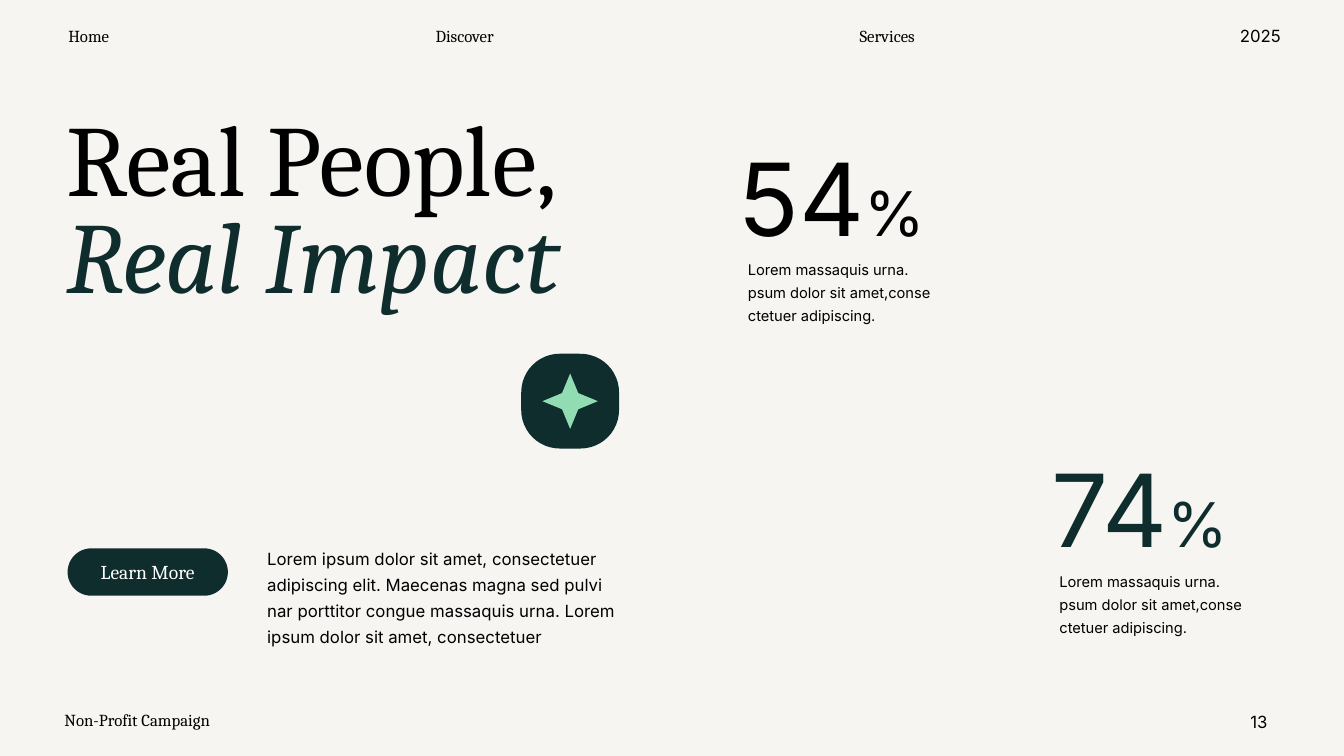
import pptx
import pptx.util
import pptx.dml.color
import pptx.enum.shapes
import pptx.enum.text
from dataclasses import dataclass

Inches = pptx.util.Inches
Align = pptx.enum.text.PP_ALIGN
Anchor = pptx.enum.text.MSO_ANCHOR
Preset = pptx.enum.shapes.MSO_SHAPE


@dataclass(frozen=True)
class Theme:
    paper: str = "F6F5F1"
    ink: str = "000000"
    pine: str = "0F2D2D"
    mint: str = "91DCB3"
    white: str = "FFFFFF"
    serif: str = "Cambria"
    sans: str = "Inter"
    display: float = 72
    percent: float = 44
    button: float = 14
    text: float = 12
    caption: float = 10.5


THEME = Theme()

# Content: boxes are (left, top, width, height) in inches
HEADLINE = ["Real People, ", "Real Impact"]
HEADLINE_BOX = (0.56, 1.13, 5.92, 2.04)
INTRO = [
    "Lorem ipsum dolor sit amet, consectetuer adipiscing elit. Maecenas magna sed pulvi",
    "nar porttitor congue massaquis urna. Lorem ipsum dolor sit amet, consectetuer",
]
INTRO_BOX = (2.55, 5.33, 3.74, 1.13)
# text, box, font, alignment, wraps
PAGE_LABELS = [
    ("Home", (0.54, 0.21, 0.68, 0.3), THEME.serif, Align.CENTER, False),
    ("Discover", (4.16, 0.21, 0.9, 0.3), THEME.serif, Align.CENTER, False),
    ("Services", (8.37, 0.21, 0.86, 0.3), THEME.serif, Align.CENTER, False),
    ("2025", (12.19, 0.21, 0.62, 0.3), THEME.sans, Align.CENTER, False),
    ("Non-Profit Campaign", (0.54, 6.99, 2.89, 0.3), THEME.serif, Align.LEFT, True),
    ("13", (11.99, 7.01, 0.68, 0.3), THEME.sans, Align.RIGHT, True),
]
CAPTION = ["Lorem massaquis urna.", "psum dolor sit amet,conse", "ctetuer adipiscing."]
# figure, colour, left, top
STATS = [("54", THEME.ink, 7.24, 1.43), ("74", THEME.pine, 10.33, 4.52)]
BUTTON = ("Learn More", (0.67, 5.44, 1.59, 0.47))
BADGE_BOX = (5.17, 3.51, 0.97, 0.94)
STAR_SIZE = 0.55


def rgb(code):
    return pptx.dml.color.RGBColor.from_string(code)


def style(run, face, size, colour, italic=False):
    run.font.name = face
    run.font.size = pptx.util.Pt(size)
    run.font.color.rgb = rgb(colour)
    run.font.italic = italic


def place(part, box):
    part.left, part.top, part.width, part.height = map(Inches, box)


def add_text(slide, box, wraps=True):
    frame = slide.shapes.add_textbox(*map(Inches, box)).text_frame
    frame.word_wrap = wraps
    return frame


def write_lines(frame, lines, face, size, spacing=None, align=Align.LEFT):
    """Put each line in its own paragraph, all in one style."""
    frame.text = "\n".join(lines)
    for paragraph in frame.paragraphs:
        paragraph.alignment = align
        paragraph.line_spacing = spacing
        paragraph.space_before = pptx.util.Pt(0)
        style(paragraph.runs[0], face, size, THEME.ink)


def write_runs(paragraph, parts, spacing):
    """Fill a paragraph with (text, face, size, colour, italic) parts."""
    paragraph.alignment = Align.LEFT
    paragraph.line_spacing = spacing
    for text, *look in parts:
        run = paragraph.add_run()
        run.text = text
        style(run, *look)


def add_preset(slide, preset, box, fill, adjustment):
    shape = slide.shapes.add_shape(preset, *map(Inches, box))
    shape.adjustments[0] = adjustment
    shape.fill.solid()
    shape.fill.fore_color.rgb = rgb(fill)
    shape.line.fill.background()
    shape.shadow.inherit = False
    return shape


def fill_placeholders(slide):
    headline, intro = slide.shapes.title, slide.placeholders[1]
    for part, box in ((headline, HEADLINE_BOX), (intro, INTRO_BOX)):
        place(part, box)
        part.text_frame.word_wrap = True
        part.text_frame.auto_size = pptx.enum.text.MSO_AUTO_SIZE.NONE
        part.text_frame.vertical_anchor = Anchor.TOP
    first, second = HEADLINE
    write_runs(headline.text_frame.paragraphs[0], [
        (first, THEME.serif, THEME.display, THEME.ink, False),
        (second, THEME.serif, THEME.display, THEME.pine, True),
    ], 0.8)
    write_lines(intro.text_frame, INTRO, THEME.sans, THEME.text, 1.3)
    for paragraph in intro.text_frame.paragraphs:
        properties = paragraph._p.get_or_add_pPr()
        properties.set("marL", "0")
        properties.set("indent", "0")
        properties.append(pptx.oxml.parse_xml(
            '<a:buNone xmlns:a="http://schemas.openxmlformats.org/drawingml/2006/main"/>'))


def add_stat(slide, figure, colour, left, top):
    number = add_text(slide, (left, top, 2.11, 1.19))
    write_runs(number.paragraphs[0], [
        (figure, THEME.sans, THEME.display, colour, False),
        ("%", THEME.sans, THEME.percent, colour, False),
    ], 0.9)
    caption = add_text(slide, (left + 0.08, top + 1.06, 2.04, 0.77))
    write_lines(caption, CAPTION, THEME.sans, THEME.caption, 1.3)


def add_button(slide):
    label, box = BUTTON
    frame = add_preset(slide, Preset.ROUNDED_RECTANGLE, box, THEME.pine, 0.5).text_frame
    frame.text = label
    frame.vertical_anchor = Anchor.MIDDLE
    frame.paragraphs[0].alignment = Align.CENTER
    style(frame.paragraphs[0].runs[0], THEME.serif, THEME.button, THEME.white)


def add_badge(slide):
    left, top, width, height = BADGE_BOX
    add_preset(slide, Preset.ROUNDED_RECTANGLE, BADGE_BOX, THEME.pine, 0.407)
    star_box = (left + (width - STAR_SIZE) / 2, top + (height - STAR_SIZE) / 2,
                STAR_SIZE, STAR_SIZE)
    add_preset(slide, Preset.STAR_4_POINT, star_box, THEME.mint, 0.207)


def main():
    deck = pptx.Presentation()
    deck.slide_width, deck.slide_height = Inches(13.33), Inches(7.5)
    slide = deck.slides.add_slide(deck.slide_layouts[1])
    slide.background.fill.solid()
    slide.background.fill.fore_color.rgb = rgb(THEME.paper)

    fill_placeholders(slide)
    for text, box, face, align, wraps in PAGE_LABELS:
        write_lines(add_text(slide, box, wraps), [text], face, THEME.text, align=align)
    add_button(slide)
    for stat in STATS:
        add_stat(slide, *stat)
    add_badge(slide)
    deck.save("out.pptx")


if __name__ == "__main__":
    main()
